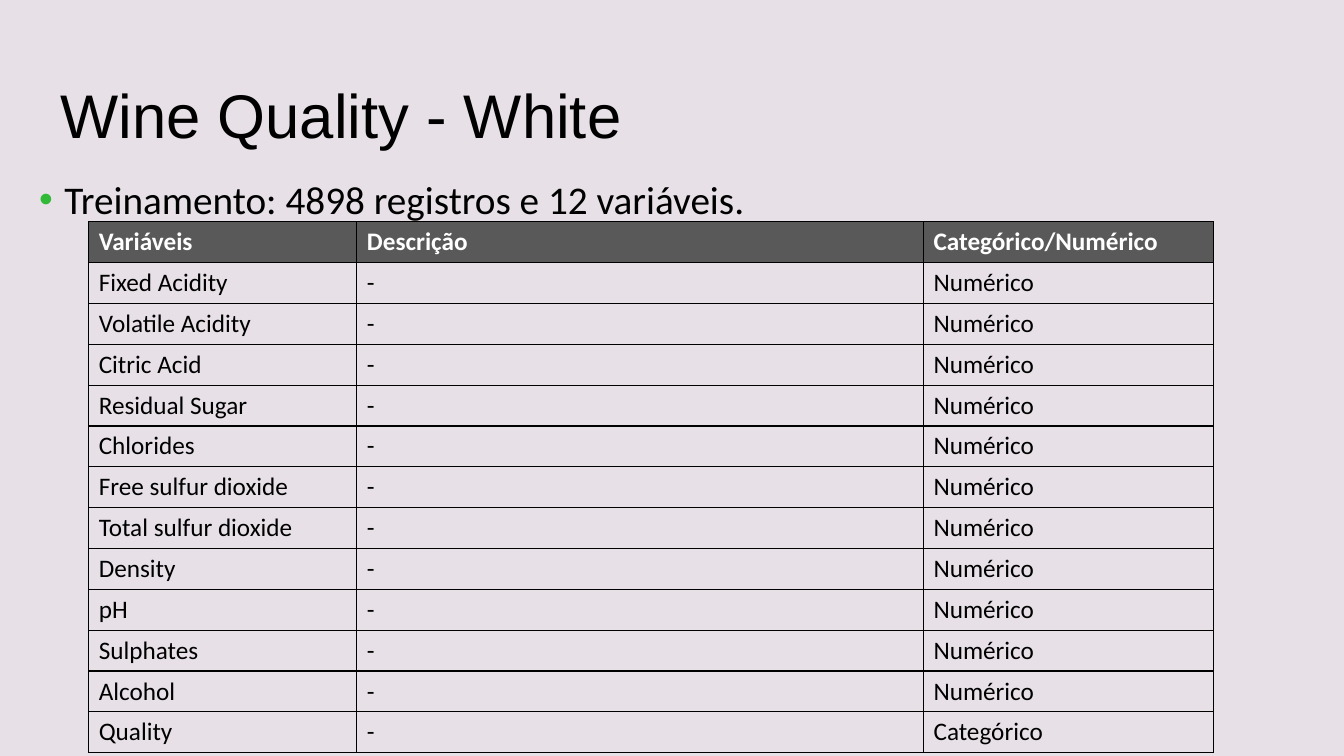
from lxml import etree
from pptx import Presentation
from pptx.dml.color import RGBColor
from pptx.enum.shapes import MSO_SHAPE as SHAPE
from pptx.enum.text import MSO_ANCHOR as ANCHOR
from pptx.oxml.ns import qn
from pptx.util import Inches, Pt

# Content
TITLE = "Wine Quality - White"
SUMMARY = "Treinamento: 4898 registros e 12 variáveis."
HEADER = ("Variáveis", "Descrição", "Categórico/Numérico")
NUMERIC = ["Fixed Acidity", "Volatile Acidity", "Citric Acid", "Residual Sugar",
           "Chlorides", "Free sulfur dioxide", "Total sulfur dioxide", "Density",
           "pH", "Sulphates", "Alcohol"]
ROWS = [HEADER] + [(name, "-", "Numérico") for name in NUMERIC]
ROWS.append(("Quality", "-", "Categórico"))
COL_WIDTHS = (2.66, 5.62, 2.88)
TABLE_HEIGHT = 5.27

# Colours
BLACK = RGBColor(0x00, 0x00, 0x00)
WHITE = RGBColor(0xFF, 0xFF, 0xFF)
MAUVE = RGBColor(0xDE, 0xD5, 0xDE)
GRAY = RGBColor(0x59, 0x59, 0x59)
GREEN = RGBColor(0x33, 0xB9, 0x38)


def add_color(parent, color):
    fill = etree.SubElement(parent, qn("a:solidFill"))
    return etree.SubElement(fill, qn("a:srgbClr"), val=str(color))


def format_run(p, font, size, color, bold=False):
    f = p.runs[0].font
    f.name, f.size, f.bold = font, Pt(size), bold
    f.color.rgb = color


def add_text(s, box, text, font, size):
    tf = s.shapes.add_textbox(*map(Inches, box)).text_frame
    tf.word_wrap = True
    tf.text = text
    format_run(tf.paragraphs[0], font, size, BLACK)
    return tf


def set_borders(cell):
    tc_pr = cell._tc.get_or_add_tcPr()
    for i, side in enumerate(("lnL", "lnR", "lnT", "lnB")):
        line = etree.Element(qn("a:" + side), w=str(Pt(1)))
        add_color(line, BLACK)
        tc_pr.insert(i, line)


def main():
    prs = Presentation()
    prs.slide_width, prs.slide_height = Inches(13.33), Inches(7.5)
    s = prs.slides.add_slide(prs.slide_layouts[6])

    # Translucent background
    sp = s.shapes.add_shape(SHAPE.RECTANGLE, 0, 0, prs.slide_width, prs.slide_height)
    sp.shadow.inherit = False
    sp.line.fill.background()
    sp.fill.solid()
    sp.fill.fore_color.rgb = MAUVE
    color = sp._element.spPr.find(qn("a:solidFill")).find(qn("a:srgbClr"))
    etree.SubElement(color, qn("a:alpha"), val="70000")

    # Title
    tf = add_text(s, (0.5, 0.4, 11.92, 1.45), TITLE, "Arial", 44)
    tf.vertical_anchor = ANCHOR.MIDDLE

    # Variables table
    table = s.shapes.add_table(len(ROWS), len(HEADER), Inches(0.88), Inches(2.2),
                               Inches(sum(COL_WIDTHS)), Inches(TABLE_HEIGHT)).table
    for column, width in zip(table.columns, COL_WIDTHS):
        column.width = Inches(width)
    for r, values in enumerate(ROWS):
        table.rows[r].height = Inches(TABLE_HEIGHT / len(ROWS))
        is_header = r == 0
        for c, value in enumerate(values):
            cell = table.cell(r, c)
            cell.text = value
            format_run(cell.text_frame.paragraphs[0], "Calibri", 18,
                       WHITE if is_header else BLACK, is_header)
            if is_header:
                cell.fill.solid()
                cell.fill.fore_color.rgb = GRAY
            else:
                cell.fill.background()
            set_borders(cell)

    # Bulleted summary
    tf = add_text(s, (0.29, 1.64, 12.33, 4.59), SUMMARY, "Calibri", 28)
    p = tf.paragraphs[0]
    p.line_spacing = 1.1
    p.space_before = Pt(10)
    p_pr = p._p.get_or_add_pPr()
    p_pr.set("marL", str(Inches(0.25)))
    p_pr.set("indent", str(-Inches(0.25)))
    bullet_color = etree.SubElement(p_pr, qn("a:buClr"))
    etree.SubElement(bullet_color, qn("a:srgbClr"), val=str(GREEN))
    etree.SubElement(p_pr, qn("a:buFont"), typeface="Arial")
    etree.SubElement(p_pr, qn("a:buChar"), char="•")

    prs.save("out.pptx")


if __name__ == "__main__":
    main()
